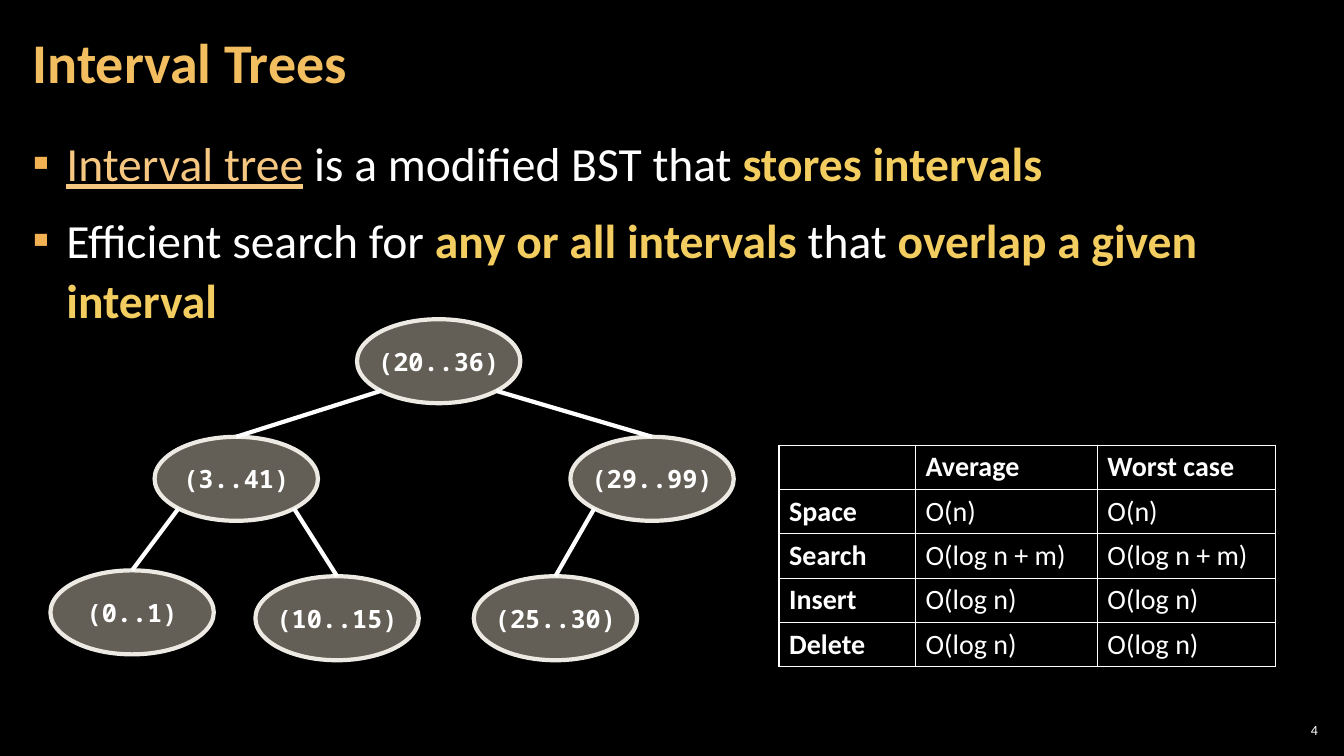
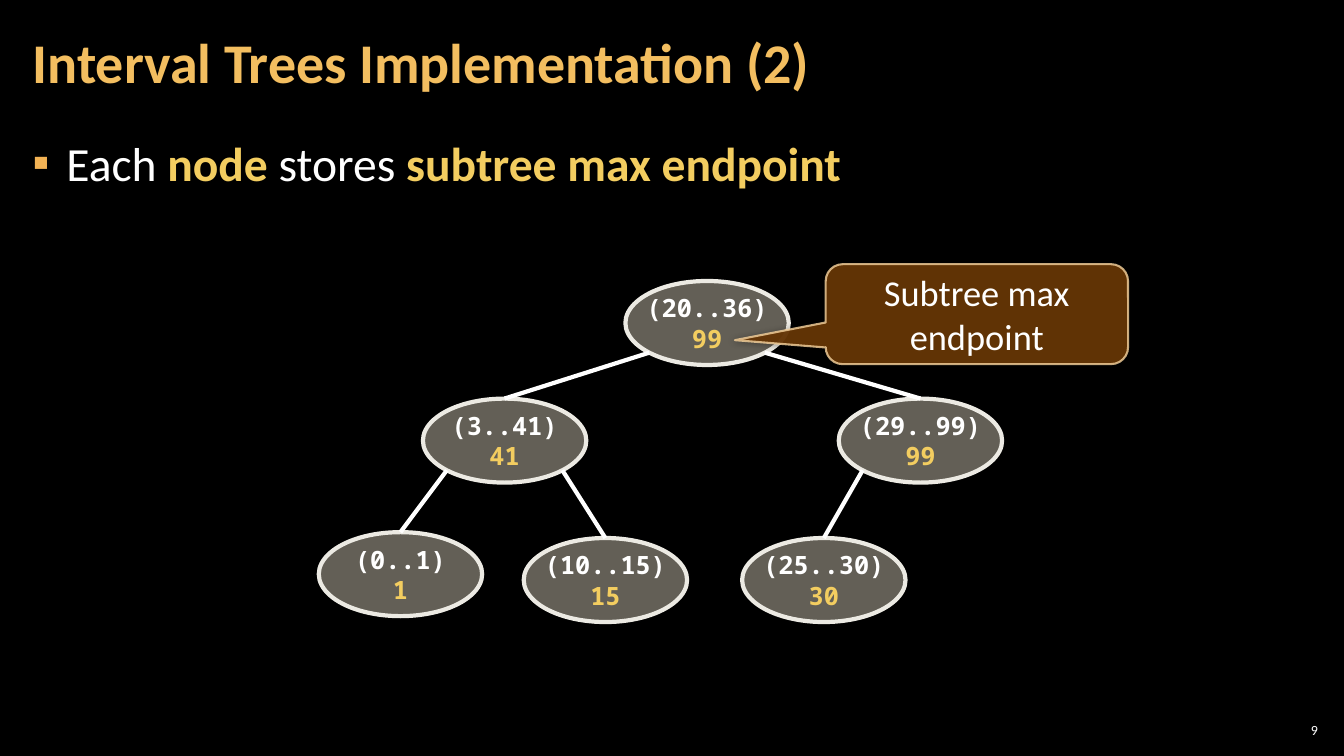
from dataclasses import dataclass

from lxml import etree
from pptx import Presentation
from pptx.dml.color import RGBColor
from pptx.enum.shapes import MSO_CONNECTOR, MSO_SHAPE
from pptx.enum.text import MSO_ANCHOR, MSO_AUTO_SIZE, PP_ALIGN
from pptx.oxml.ns import qn
from pptx.util import Inches, Pt

ELLIPSE = MSO_SHAPE.OVAL
CALLOUT = MSO_SHAPE.ROUNDED_RECTANGULAR_CALLOUT
STRAIGHT = MSO_CONNECTOR.STRAIGHT
MIDDLE, TOP = MSO_ANCHOR.MIDDLE, MSO_ANCHOR.TOP
LEFT, CENTER, RIGHT = PP_ALIGN.LEFT, PP_ALIGN.CENTER, PP_ALIGN.RIGHT
NO_FIT = MSO_AUTO_SIZE.NONE

# The slide is a square grid of 160 columns by 90 rows
COLUMNS, ROWS = 160, 90
UNIT = Inches(7.5) // ROWS


def grid(*lengths):
    return [round(length * UNIT) for length in lengths]


@dataclass(frozen=True)
class Theme:
    background: str = "000000"
    text: str = "FFFFFF"
    title: str = "F3BE60"
    strong: str = "F3CD60"
    link: str = "F6C781"
    bullet: str = "F2B254"
    node_fill: str = "C7BFAC"
    node_line: str = "ECEAE3"
    callout_fill: str = "663606"
    callout_line: str = "F8D49E"
    font: str = "Calibri"
    code_font: str = "Noto Sans Mono"
    title_size: int = 40
    body_size: int = 34
    callout_size: int = 26
    table_size: int = 20
    node_size: int = 18
    number_size: int = 10


# Tree layout: left and top of each node, measured from the tree's corner
NODE_WIDTH, NODE_HEIGHT = 19.45, 10
NODES = {
    "(20..36)": (36.5, 0),
    "(29..99)": (61.9, 14),
    "(3..41)": (12.4, 14),
    "(0..1)": (0, 29.9),
    "(10..15)": (24.4, 30.6),
    "(25..30)": (50.4, 30.6),
}
# Child, parent
EDGES = [
    ("(0..1)", "(3..41)"),
    ("(10..15)", "(3..41)"),
    ("(25..30)", "(29..99)"),
    ("(3..41)", "(20..36)"),
    ("(29..99)", "(20..36)"),
]
DIAGONAL = 0.5 ** 0.5

COMPLEXITY = [
    ["", "Average", "Worst case"],
    ["Space", "O(n)", "O(n)"],
    ["Search", "O(log n + m)", "O(log n + m)"],
    ["Insert", "O(log n)", "O(log n)"],
    ["Delete", "O(log n)", "O(log n)"],
]


def add_element(parent, tag, **attributes):
    return etree.SubElement(parent, qn(tag), **attributes)


def set_opacity(parent, percent):
    color = parent.find(qn("a:solidFill"))[0]
    add_element(color, "a:alpha", val=str(percent * 1000))


class Deck:
    def __init__(self, theme):
        self.theme = theme
        self.slide = None
        self.presentation = Presentation()
        self.presentation.slide_width, self.presentation.slide_height = grid(COLUMNS, ROWS)
        self.layout = self.presentation.slide_layouts[1]
        self.prepare_layout()

    def prepare_layout(self):
        """Shared background and placement of title and body."""
        fill = self.presentation.slide_master.background.fill
        fill.solid()
        fill.fore_color.rgb = RGBColor.from_string(self.theme.background)
        title, body = list(self.layout.placeholders)[:2]
        self.place(title, (2.5, 0.5, 125.6, 14.5), MIDDLE)
        self.place(body, (2.5, 15.1, 154.9, 73.1), TOP)

    def place(self, shape, box, anchor):
        shape.left, shape.top, shape.width, shape.height = grid(*box)
        frame = shape.text_frame
        frame.auto_size = NO_FIT
        frame.vertical_anchor = anchor
        frame.margin_left, frame.margin_right = grid(1.4, 1.4)
        frame.margin_top, frame.margin_bottom = grid(0.5, 0.5)

    def style(self, font, size, color, bold=False, name=None):
        font.name = name or self.theme.font
        font.size = Pt(size)
        font.bold = bold
        font.color.rgb = RGBColor.from_string(color)

    def add_slide(self, title, number):
        self.slide = self.presentation.slides.add_slide(self.layout)
        self.slide.shapes.title.text_frame.text = title
        paragraph = self.slide.shapes.title.text_frame.paragraphs[0]
        paragraph.alignment = LEFT
        paragraph.line_spacing = 0.9
        self.style(paragraph.runs[0].font, self.theme.title_size, self.theme.title, True)
        self.add_number(number)

    def add_number(self, number):
        box = self.slide.shapes.add_textbox(*grid(151.8, 85.7, 5.6, 2.5))
        frame = box.text_frame
        frame.word_wrap = True
        frame.vertical_anchor = MIDDLE
        frame.margin_left = frame.margin_right = grid(0.5)[0]
        frame.margin_top = frame.margin_bottom = grid(0.5)[0]
        frame.text = str(number)
        paragraph = frame.paragraphs[0]
        paragraph.alignment = RIGHT
        self.style(paragraph.runs[0].font, self.theme.number_size, self.theme.text)

    def add_bullets(self, *items):
        """Each item is a list of (text, kind) with kind text, strong or link."""
        frame = self.slide.placeholders[1].text_frame
        for index, item in enumerate(items):
            paragraph = frame.add_paragraph() if index else frame.paragraphs[0]
            properties = paragraph._p.get_or_add_pPr()
            indent = grid(4)[0]
            properties.set("marL", str(indent))
            properties.set("indent", str(-indent))
            color = add_element(properties, "a:buClr")
            add_element(color, "a:srgbClr", val=self.theme.bullet)
            add_element(properties, "a:buFont", typeface=self.theme.font)
            add_element(properties, "a:buChar", char="▪")
            paragraph.line_spacing = 1.05
            paragraph.space_before = Pt(6 if index else 0)
            paragraph.space_after = Pt(6)
            for text, kind in item:
                run = paragraph.add_run()
                run.text = text
                self.style(run.font, self.theme.body_size,
                           getattr(self.theme, kind), kind == "strong")
                run.font.underline = kind == "link"

    def add_shape(self, kind, box, fill, opacity, line, line_width):
        shape = self.slide.shapes.add_shape(kind, *grid(*box))
        shape.shadow.inherit = False
        shape.fill.solid()
        shape.fill.fore_color.rgb = RGBColor.from_string(fill)
        set_opacity(shape._element.spPr, opacity)
        shape.line.color.rgb = RGBColor.from_string(line)
        shape.line.width = Pt(line_width)
        shape.text_frame.vertical_anchor = MIDDLE
        return shape

    def add_node(self, left, top, lines):
        theme = self.theme
        node = self.add_shape(ELLIPSE, (left, top, NODE_WIDTH, NODE_HEIGHT),
                              theme.node_fill, 50, theme.node_line, 3)
        node.text_frame.word_wrap = False
        node.text_frame.text = "\n".join(lines)
        for paragraph, color in zip(node.text_frame.paragraphs, (theme.text, theme.strong)):
            paragraph.alignment = CENTER
            self.style(paragraph.runs[0].font, theme.node_size, color, True, theme.code_font)
        return node

    def add_edge(self, child, parent):
        """Line from the child's top to the parent's lower diagonal point."""
        side = -1 if child.left < parent.left else 1
        end_x = parent.left + parent.width * (1 + side * DIAGONAL) / 2
        end_y = parent.top + parent.height * (1 + DIAGONAL) / 2
        edge = self.slide.shapes.add_connector(
            STRAIGHT, child.left + child.width // 2, child.top, round(end_x), round(end_y))
        edge.begin_connect(child, 0)
        edge.line.color.rgb = RGBColor.from_string(self.theme.text)
        edge.line.width = Pt(3)
        add_element(edge._element.spPr, "a:effectLst")

    def add_tree(self, left, top, endpoints=None):
        endpoints = endpoints or {}
        nodes = {}
        for interval, (x, y) in NODES.items():
            lines = [interval]
            if interval in endpoints:
                lines.append(endpoints[interval])
            nodes[interval] = self.add_node(left + x, top + y, lines)
        for child, parent in EDGES:
            self.add_edge(nodes[child], nodes[parent])

    def add_table(self, left, top, widths, row_height, rows):
        frame = self.slide.shapes.add_table(
            len(rows), len(widths), *grid(left, top, sum(widths), row_height * len(rows)))
        table = frame.table
        table.first_row = table.horz_banding = False
        for column, width in zip(table.columns, grid(*widths)):
            column.width = width
        for row_index, row in enumerate(rows):
            for column_index, text in enumerate(row):
                cell = table.cell(row_index, column_index)
                self.add_borders(cell)
                cell.fill.background()
                cell.text_frame.text = text
                heading = row_index == 0 or column_index == 0
                for run in cell.text_frame.paragraphs[0].runs:
                    self.style(run.font, self.theme.table_size, self.theme.text, heading)

    def add_borders(self, cell):
        properties = cell._tc.get_or_add_tcPr()
        for side in ("L", "R", "T", "B"):
            border = add_element(properties, f"a:ln{side}", w=str(Pt(1)))
            fill = add_element(border, "a:solidFill")
            add_element(fill, "a:srgbClr", val=self.theme.text)

    def add_callout(self, box, text, adjustments):
        theme = self.theme
        callout = self.add_shape(CALLOUT, box, theme.callout_fill, 95, theme.callout_line, 1.5)
        for index, value in enumerate(adjustments):
            callout.adjustments[index] = value
        properties = callout._element.spPr
        set_opacity(properties.find(qn("a:ln")), 80)
        # Soft shadow around the callout
        shadow = add_element(properties.find(qn("a:effectLst")), "a:outerShdw",
                             blurRad=str(Pt(5)), dist="0", dir="0")
        color = add_element(shadow, "a:srgbClr", val=theme.background)
        add_element(color, "a:alpha", val="40000")
        callout.text_frame.word_wrap = True
        callout.text_frame.text = text
        paragraph = callout.text_frame.paragraphs[0]
        paragraph.alignment = CENTER
        self.style(paragraph.runs[0].font, theme.callout_size, theme.text)


def main():
    deck = Deck(Theme())

    # Overview: tree and complexity table
    deck.add_slide("Interval Trees", 4)
    deck.add_bullets(
        [("Interval tree", "link"), (" is a modified BST that ", "text"),
         ("stores intervals", "strong")],
        [("Efficient search for ", "text"), ("any or all intervals", "strong"),
         (" that ", "text"), ("overlap a given interval", "strong")],
    )
    deck.add_table(92.75, 53, (16.25, 21.65, 21.2), 5.28, COMPLEXITY)
    deck.add_tree(6, 38)

    # Implementation: tree with the maximum endpoint of each subtree
    deck.add_slide("Interval Trees Implementation (2)", 9)
    deck.add_bullets(
        [("Each ", "text"), ("node", "strong"), (" stores ", "text"),
         ("subtree max endpoint", "strong")],
    )
    deck.add_tree(37.95, 33.45, {
        "(20..36)": "99", "(29..99)": "99", "(3..41)": "41",
        "(0..1)": "1", "(10..15)": "15", "(25..30)": "30",
    })
    deck.add_callout((98.3, 31.45, 36, 11.9), "Subtree max endpoint", (-0.8, 0.26, 0.17))

    deck.presentation.save("out.pptx")


if __name__ == "__main__":
    main()
